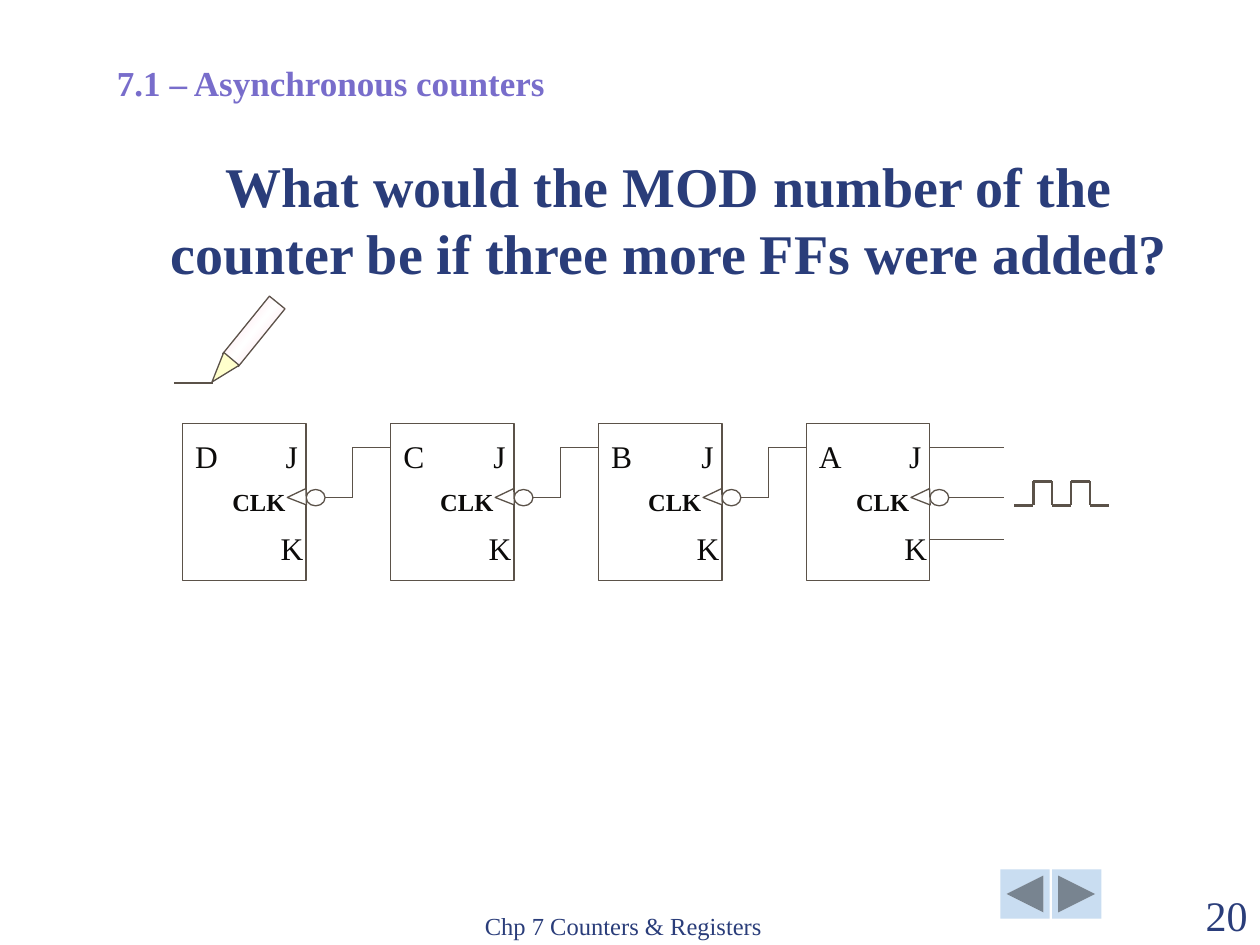
from copy import deepcopy
from itertools import pairwise

from lxml import etree
from pptx import Presentation
from pptx.dml.color import RGBColor
from pptx.enum.shapes import MSO_CONNECTOR, MSO_SHAPE
from pptx.enum.text import MSO_ANCHOR, PP_ALIGN
from pptx.oxml.ns import qn
from pptx.util import Inches, Pt

STRAIGHT = MSO_CONNECTOR.STRAIGHT
RECT, OVAL, TRIANGLE = MSO_SHAPE.RECTANGLE, MSO_SHAPE.OVAL, MSO_SHAPE.ISOSCELES_TRIANGLE
BACK, FORWARD = (MSO_SHAPE.ACTION_BUTTON_BACK_OR_PREVIOUS,
                 MSO_SHAPE.ACTION_BUTTON_FORWARD_OR_NEXT)
LEFT, CENTER, RIGHT = PP_ALIGN.LEFT, PP_ALIGN.CENTER, PP_ALIGN.RIGHT
TOP, BOTTOM = MSO_ANCHOR.TOP, MSO_ANCHOR.BOTTOM

THEME = {
    "font": "Times New Roman",
    "line": "5B5249", "paper": "FFFFFF", "button": "C9DDF1",
    "pencil": ("FFCCE0", "FFFFFF", "FFCCE0"), "tip": "FFFFCC",
    "thin": 0.75, "thick": 1.5,
    "styles": {
        "section": {"size": 20, "bold": True, "color": "786DCB"},
        "title": {"size": 32, "bold": True, "color": "2A3D7A"},
        "footer": {"size": 14, "bold": False, "color": "2A3D7A"},
        "number": {"size": 24, "bold": False, "color": "2A3D7A"},
        "pin": {"size": 18, "bold": False, "color": "0C0B0A"},
        "clock": {"size": 14, "bold": True, "color": "0C0B0A"},
    },
}

# Content: text, box, style, alignment, anchor
TEXTS = [
    ("7.1 – Asynchronous counters", (0.83, 0.44, 4.02, 0.43), "section", LEFT, TOP),
    ("What would the MOD number of the counter be if three more FFs were added?",
     (1.06, 1.07, 8.5, 1.25), "title", CENTER, BOTTOM),
    ("Chp 7 Counters & Registers", (3.75, 7.01, 3.17, 0.5), "footer", LEFT, BOTTOM),
    ("20", (9, 7.01, 1, 0.5), "number", RIGHT, BOTTOM),
]
FLIP_FLOPS = ["D", "C", "B", "A"]
BUTTONS = [BACK, FORWARD]

# Flip-flop grid
FF_LEFT, FF_PITCH, FF_TOP, FF_W, FF_H = 1.45, 1.65, 3.36, 0.98, 1.25
J_Y, CLK_Y, K_Y = 3.55, 3.95, 4.28
BUBBLE_W, BUBBLE_H = 0.15, 0.13
INPUT_END = 7.97

prs = Presentation()
prs.slide_width, prs.slide_height = Inches(10), Inches(7.5)
s = prs.slides.add_slide(prs.slide_layouts[6])


def add_text(text, box, style, align=CENTER, anchor=TOP):
    tf = s.shapes.add_textbox(*map(Inches, box)).text_frame
    tf.word_wrap, tf.vertical_anchor = True, anchor
    p = tf.paragraphs[0]
    p.alignment = align
    r = p.add_run()
    r.text = text
    look = THEME["styles"][style]
    values = {"name": THEME["font"], "size": Pt(look["size"]), "bold": look["bold"]}
    for name, value in values.items():
        setattr(r.font, name, value)
    r.font.color.rgb = RGBColor.from_string(look["color"])


def add_shape(kind, box, fill, line=THEME["line"], rotation=0):
    sp = s.shapes.add_shape(kind, *map(Inches, box))
    sp.shadow.inherit = False
    sp.rotation = rotation
    sp.fill.solid()
    sp.fill.fore_color.rgb = RGBColor.from_string(fill)
    if line:
        sp.line.color.rgb = RGBColor.from_string(line)
        sp.line.width = Pt(THEME["thin"])
    else:
        sp.line.fill.background()
    return sp


def add_wire(points, width=THEME["thin"]):
    for start, end in pairwise(points):
        c = s.shapes.add_connector(STRAIGHT, *map(Inches, start + end))
        c.line.color.rgb = RGBColor.from_string(THEME["line"])
        c.line.width = Pt(width)
        etree.SubElement(c._element.spPr, qn("a:effectLst"))


def add_flip_flop(name, x):
    edge = x + FF_W
    add_shape(RECT, (x, FF_TOP, FF_W, FF_H), THEME["paper"])
    add_shape(OVAL, (edge, CLK_Y - BUBBLE_H / 2, BUBBLE_W, BUBBLE_H), THEME["paper"])
    add_shape(TRIANGLE, (edge - 0.14, CLK_Y - 0.08, 0.13, 0.15), THEME["paper"],
              rotation=268)
    for text, left, top in [(name, x, 3.42), ("J", edge - 0.3, 3.42),
                            ("K", edge - 0.3, 4.15)]:
        add_text(text, (left, top, 0.37, 0.4), "pin")
    add_text("CLK", (edge - 0.75, 3.82, 0.75, 0.33), "clock")


# Headings and footer
for item in TEXTS:
    add_text(*item)

# Navigation buttons
for i, kind in enumerate(BUTTONS):
    add_shape(kind, (7.94 + 0.41 * i, 6.9, 0.39, 0.39), THEME["button"], line=None)

# Flip-flops, each output wired to the clock of the one on its left
for i, name in enumerate(FLIP_FLOPS):
    x = FF_LEFT + FF_PITCH * i
    add_flip_flop(name, x)
    if i:
        bubble_right = x - FF_PITCH + FF_W + BUBBLE_W
        add_wire([(x, J_Y), (x - 0.3, J_Y), (x - 0.3, CLK_Y), (bubble_right, CLK_Y)])

# Inputs of the last flip-flop
edge = FF_LEFT + FF_PITCH * (len(FLIP_FLOPS) - 1) + FF_W
for y, start in [(J_Y, edge), (CLK_Y, edge + BUBBLE_W), (K_Y, edge)]:
    add_wire([(start, y), (INPUT_END, y)])

# Clock pulses: low, high, low, high, low
LOW, HIGH, STEP = 4.01, 3.82, 0.15
pulse = []
for i, level in enumerate([LOW, HIGH, LOW, HIGH, LOW]):
    left = 8.05 + STEP * i
    pulse += [(left, level), (left + STEP, level)]
add_wire(pulse, THEME["thick"])

# Pencil: barrel with a three-stop gradient, tip and drawn line
barrel = add_shape(RECT, (1.72, 2.55, 0.59, 0.16), THEME["paper"], rotation=309)
barrel.fill.gradient()
barrel.fill.gradient_angle = 90
stop_list = barrel._element.spPr.find(qn("a:gradFill")).find(qn("a:gsLst"))
stop_list.insert(1, deepcopy(stop_list[0]))
for stop, color, position in zip(barrel.fill.gradient_stops, THEME["pencil"], (0, 0.5, 1)):
    stop.color.rgb = RGBColor.from_string(color)
    stop.position = position
tip = add_shape(TRIANGLE, (1.68, 2.82, 0.16, 0.24), THEME["tip"], rotation=40)
tip._element.spPr.find(qn("a:xfrm")).set("flipV", "1")
add_wire([(1.38, 3.04), (1.69, 3.04)])

prs.save("out.pptx")
